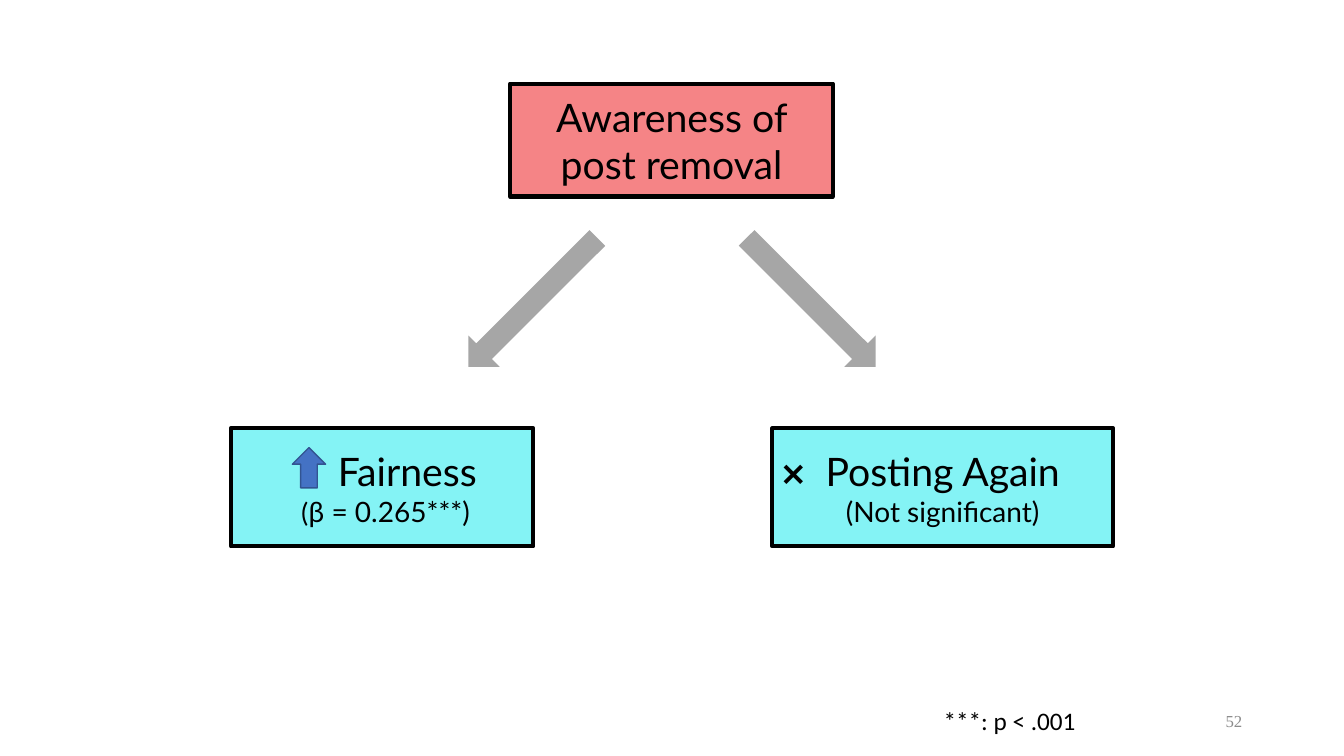
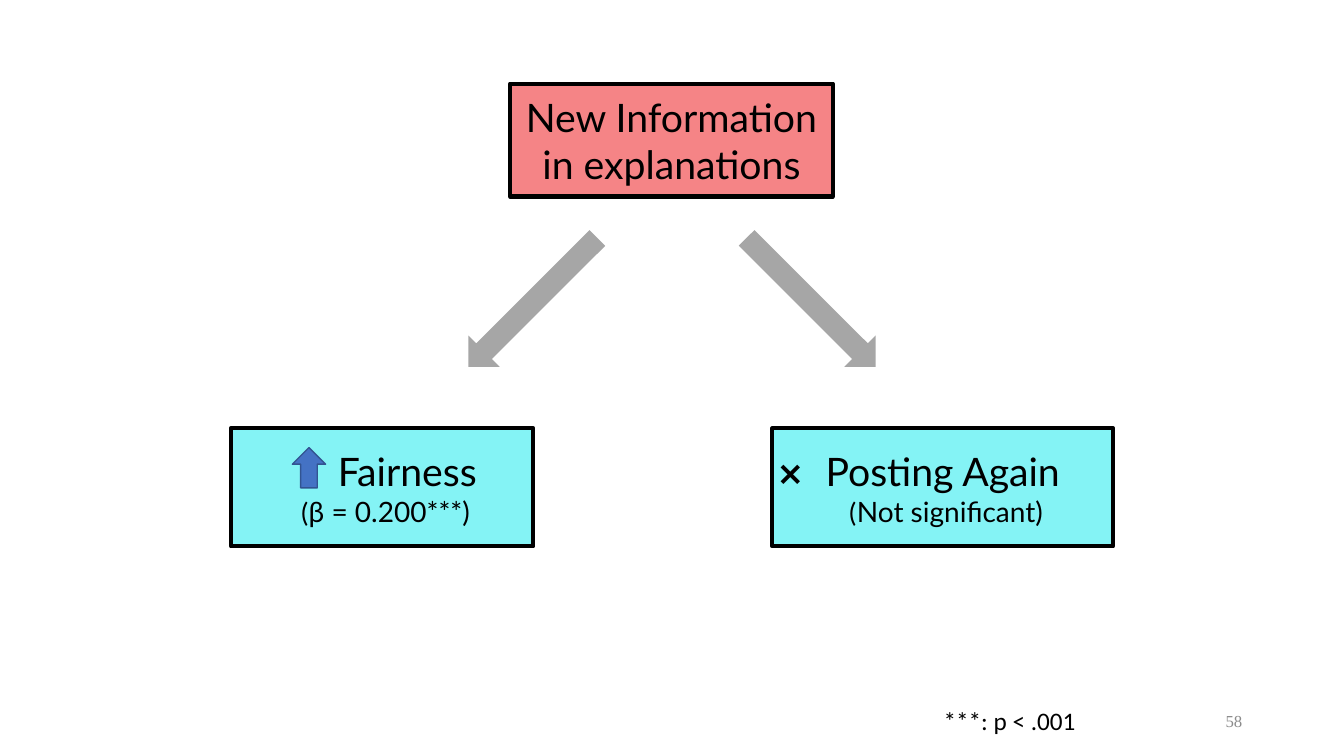
from pptx import Presentation
from pptx.dml.color import RGBColor
from pptx.enum.shapes import MSO_SHAPE as Preset
from pptx.enum.text import MSO_ANCHOR as Anchor, MSO_AUTO_SIZE as AutoSize, PP_ALIGN as Align
from pptx.util import Inches, Pt

BLACK = RGBColor(0x00, 0x00, 0x00)
CAUSE_RED = RGBColor(0xF5, 0x84, 0x86)
EFFECT_CYAN = RGBColor(0x84, 0xF3, 0xF5)
ARROW_GRAY = RGBColor(0xA6, 0xA6, 0xA6)
RISE_BLUE = RGBColor(0x44, 0x72, 0xC4)
RISE_EDGE = RGBColor(0x32, 0x54, 0x91)
NUMBER_GRAY = RGBColor(0x8C, 0x8C, 0x8C)

MAIN_FONT = "Lato"
NOTE_FONT = "Calibri"
NUMBER_FONT = "Times New Roman"


class Deck:
    """Holds the shared style and the slide being drawn."""

    def __init__(self):
        self.presentation = Presentation()
        self.presentation.slide_width = Inches(13.33)
        self.presentation.slide_height = Inches(7.5)
        self.slide = None

    def new_slide(self):
        self.slide = self.presentation.slides.add_slide(self.presentation.slide_layouts[6])

    def add_runs(self, paragraph, runs, size, align=Align.LEFT, color=BLACK, indent=0):
        """Fill a paragraph with (text, font) runs; indent is in inches."""
        paragraph.alignment = align
        if indent:
            paragraph._p.get_or_add_pPr().set("marL", str(Inches(indent)))
        for text, font in runs:
            run = paragraph.add_run()
            run.text = text
            run.font.name = font
            run.font.size = Pt(size)
            run.font.color.rgb = color

    def shape(self, preset, left, top, width, height, fill, line=None, line_width=1):
        shape = self.slide.shapes.add_shape(
            preset, Inches(left), Inches(top), Inches(width), Inches(height))
        shape.shadow.inherit = False
        shape.fill.solid()
        shape.fill.fore_color.rgb = fill
        if line is None:
            shape.line.fill.background()
        else:
            shape.line.color.rgb = line
            shape.line.width = Pt(line_width)
        return shape

    def box(self, left, top, width, height, fill, label, detail=None,
            label_indent=0, detail_indent=0):
        """Draw an outlined box with a label and an optional smaller detail line."""
        frame = self.shape(Preset.RECTANGLE, left, top, width, height, fill, BLACK, 3).text_frame
        frame.word_wrap = True
        frame.vertical_anchor = Anchor.MIDDLE
        self.add_runs(frame.paragraphs[0], [(label, MAIN_FONT)], 28, Align.CENTER,
                      indent=label_indent)
        if detail:
            self.add_runs(frame.add_paragraph(), detail, 20, Align.CENTER, indent=detail_indent)

    def arrow(self, left, rotation):
        arrow = self.shape(Preset.RIGHT_ARROW, left, 2.78, 1.81, 0.44, ARROW_GRAY)
        arrow.rotation = rotation

    def text(self, left, top, width, height, text, font, size, color=BLACK,
             align=Align.LEFT, anchor=Anchor.TOP, wrap=True, grow=True):
        frame = self.slide.shapes.add_textbox(
            Inches(left), Inches(top), Inches(width), Inches(height)).text_frame
        frame.word_wrap = wrap
        frame.vertical_anchor = anchor
        frame.auto_size = AutoSize.SHAPE_TO_FIT_TEXT if grow else AutoSize.NONE
        self.add_runs(frame.paragraphs[0], [(text, font)], size, align, color)

    def effects_slide(self, number, cause, fairness, posting, posting_indent, cross_left):
        """Draw one cause with its effects on fairness and on posting again."""
        self.new_slide()
        self.box(5.06, 0.83, 3.2, 1.12, CAUSE_RED, cause)
        self.arrow(4.38, 135)
        self.arrow(7.14, 45)
        self.box(2.29, 4.25, 3, 1.17, EFFECT_CYAN, "Fairness",
                 [("(", NOTE_FONT), (f"β = {fairness}***)", MAIN_FONT)], 0.5, 0.06)
        self.shape(Preset.UP_ARROW, 2.9, 4.44, 0.33, 0.4, RISE_BLUE, RISE_EDGE)
        self.box(7.66, 4.25, 3.38, 1.17, EFFECT_CYAN, "Posting Again", posting,
                 detail_indent=posting_indent)
        self.text(cross_left, 4.44, 0.41, 0.5, "❌", MAIN_FONT, 24)
        self.text(9.26, 6.95, 1.53, 0.4, "***: p < .001", NOTE_FONT, 18, wrap=False)
        self.text(9.42, 6.95, 3, 0.4, number, NUMBER_FONT, 12, NUMBER_GRAY,
                  Align.RIGHT, Anchor.MIDDLE, grow=False)


def main():
    deck = Deck()
    deck.effects_slide("52", "Awareness of post removal", "0.265",
                       [("(Not significant)", MAIN_FONT)], 0, 7.66)
    deck.effects_slide("58", "New Information in explanations", "0.200",
                       [("(", NOTE_FONT), ("Not significant)", MAIN_FONT)], 0.06, 7.63)
    deck.presentation.save("out.pptx")


if __name__ == "__main__":
    main()
